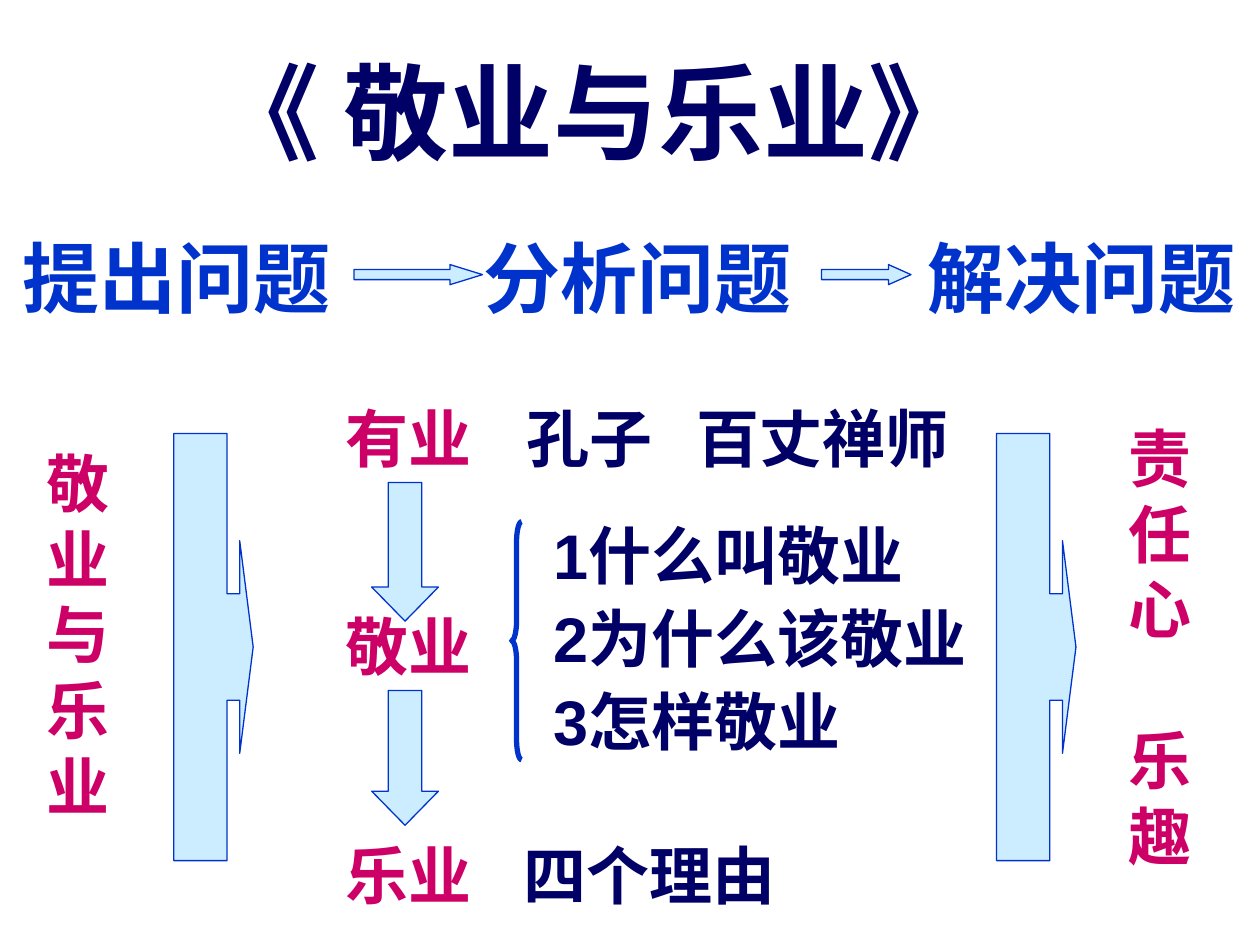
from lxml import etree
from pptx import Presentation
from pptx.dml.color import RGBColor
from pptx.enum.shapes import MSO_SHAPE
from pptx.enum.text import MSO_ANCHOR, MSO_AUTO_SIZE, PP_ALIGN
from pptx.oxml.ns import qn
from pptx.util import Inches, Pt

DOWN, RIGHT = MSO_SHAPE.DOWN_ARROW, MSO_SHAPE.RIGHT_ARROW
CALLOUT = MSO_SHAPE.RIGHT_ARROW_CALLOUT
TOP, LEFT, FIXED = MSO_ANCHOR.TOP, PP_ALIGN.LEFT, MSO_AUTO_SIZE.NONE

COLUMNS, ROWS = 100, 75
CELL = Inches(0.1)
FONT = "Arial"
NAVY, BLUE, PINK, PALE = "000066", "0033CC", "CC0066", "CCECFF"


def cells(*counts):
    """Turn counts of grid cells into lengths."""
    return [round(count * CELL) for count in counts]


def rgb(value):
    """Turn a hex string into a colour."""
    return RGBColor.from_string(value)


def write(holder, lines, size, color, spacing=1.0):
    """Put bold lines of text into a text box or placeholder."""
    frame = holder.text_frame
    frame.text = "\n".join(lines)
    frame.word_wrap = True
    frame.auto_size = FIXED
    frame.vertical_anchor = TOP
    for paragraph in frame.paragraphs:
        paragraph.alignment = LEFT
        paragraph.line_spacing = spacing
        paragraph.space_before = Pt(0)
        for run in paragraph.runs:
            run.font.name = FONT
            run.font.size = Pt(size)
            run.font.bold = True
            run.font.color.rgb = rgb(color)
    return frame.paragraphs


def add_label(slide, box, lines, size, color):
    """Add a text box in the given box and return its paragraphs."""
    return write(slide.shapes.add_textbox(*cells(*box)), lines, size, color)


def add_arrow(slide, preset, box, adjustments):
    """Add a pale block arrow with a thin blue outline."""
    arrow = slide.shapes.add_shape(preset, *cells(*box))
    arrow.shadow.inherit = False
    arrow.fill.solid()
    arrow.fill.fore_color.rgb = rgb(PALE)
    arrow.line.color.rgb = rgb(BLUE)
    arrow.line.width = Pt(0.75)
    for index, adjustment in enumerate(adjustments):
        arrow.adjustments[index] = adjustment


def place(placeholder, box):
    """Move a placeholder into the given box."""
    (placeholder.left, placeholder.top,
     placeholder.width, placeholder.height) = cells(*box)


def indent(paragraph, columns):
    """Set the left margin of a paragraph and take its bullet away."""
    properties = paragraph._p.get_or_add_pPr()
    properties.set("marL", str(cells(columns)[0]))
    properties.set("indent", "0")
    etree.SubElement(properties, qn("a:buNone"))


def add_title(slide, box):
    """Place the lesson title."""
    place(slide.shapes.title, box)
    heading = write(slide.shapes.title, ["《 敬业与乐业》"], 60, NAVY, 0.8)[0]
    heading.space_before = Pt(15)
    indent(heading, 6)


def add_stages(slide, box):
    """Place the three stages of the argument and the arrows between them."""
    left, top, width, height = box
    stages = (("提出问题", 0), ("分析问题", 0.366), ("解决问题", 0.718))
    for stage, share in stages:
        add_label(slide, (left + share * width, top, 27.3, height),
                  [stage], 44, BLUE)
    for share, length, head in ((0.273, 10.2, 1.62), (0.644, 7.1, 1.12)):
        add_arrow(slide, RIGHT,
                  (left + share * width, top + 3.2, length, 1.6), (0.5, head))


def add_column(slide, box, characters, gap_before=None):
    """Place characters one below the other, with a one-line gap if asked."""
    paragraphs = add_label(slide, box, characters, 36, PINK)
    if gap_before is not None:
        paragraphs[gap_before].space_before = Pt(43)


def add_topics(slide, box):
    """Place the three topics and the arrows that lead down through them."""
    left, top, width, height = box
    for topic, offset in (("有业", 0), ("敬业", 16.5), ("乐业", 34.7)):
        add_label(slide, (left, top + offset, width, 7), [topic], 36, PINK)
    for offset, length in ((7.1, 11), (23.6, 10.7)):
        add_arrow(slide, DOWN, (left + 3.1, top + offset, 5.3, length),
                  (0.5, 0.51))


def add_details(slide, box):
    """Place the examples, the questions and the reasons beside the topics."""
    left, top, width, height = box
    examples = add_label(slide, (left, top, width, 7),
                         ["孔子\t百丈禅师"], 36, NAVY)[0]
    tabs = etree.SubElement(examples._p.get_or_add_pPr(), qn("a:tabLst"))
    etree.SubElement(tabs, qn("a:tab"), pos=str(cells(13.5)[0]), algn="l")
    questions = slide.placeholders[1]
    place(questions, (left + 2.1, top + 8.7, width + 2, 20.8))
    lines = ["1什么叫敬业", "2为什么该敬业", "3怎样敬业"]
    for question in write(questions, lines, 36, NAVY, 1.1):
        indent(question, 0)
    add_label(slide, (left - 0.2, top + 34.7, width, 7),
              ["四个理由"], 36, NAVY)


def curve(start, bend_in, bend_out, end, steps=8):
    """Return points along a cubic curve, without its start."""
    points = []
    for step in range(1, steps + 1):
        t = step / steps
        weights = ((1 - t) ** 3, 3 * t * (1 - t) ** 2, 3 * t * t * (1 - t), t ** 3)
        corners = (start, bend_in, bend_out, end)
        points.append(tuple(sum(w * c[axis] for w, c in zip(weights, corners))
                            for axis in (0, 1)))
    return points


def add_brace(slide, box):
    """Draw an open left brace that fills the box."""
    left, top, width, height = box
    upper = [(1, 0)]
    upper += curve((1, 0), (0.72, 0), (0.5, 0.04), (0.5, 0.083))
    upper += curve((0.5, 0.417), (0.5, 0.46), (0.28, 0.5), (0, 0.5))
    upper.insert(9, (0.5, 0.417))
    lower = [(x, 1 - y) for x, y in reversed(upper[:-1])]
    outline = [cells(left + x * width, top + y * height) for x, y in upper + lower]
    builder = slide.shapes.build_freeform(*outline[0])
    builder.add_line_segments(outline[1:], close=False)
    brace = builder.convert_to_shape()
    brace.shadow.inherit = False
    brace.fill.background()
    brace.line.color.rgb = rgb(BLUE)
    brace.line.width = Pt(3)


def main():
    """Build the lesson outline slide."""
    deck = Presentation()
    deck.slide_width, deck.slide_height = cells(COLUMNS, ROWS)
    slide = deck.slides.add_slide(deck.slide_layouts[1])
    add_title(slide, (10, 5.2, 90, 11.8))
    add_stages(slide, (0.8, 17.8, 100, 8.4))
    add_column(slide, (2.7, 34.8, 7.1, 31), "敬业与乐业")
    add_column(slide, (88.6, 32.8, 7.1, 37), "责任心乐趣", gap_before=3)
    for left in (13.8, 79.1):
        add_arrow(slide, CALLOUT, (left, 34.4, 6.3, 33.9),
                  (1.34, 1.34, 0.17, 0.67))
    add_topics(slide, (26.4, 31.2, 12.5, 41.7))
    add_details(slide, (40.8, 31.2, 38, 41.7))
    add_brace(slide, (40.6, 41.4, 0.8, 18.9))
    deck.save("out.pptx")


if __name__ == "__main__":
    main()
